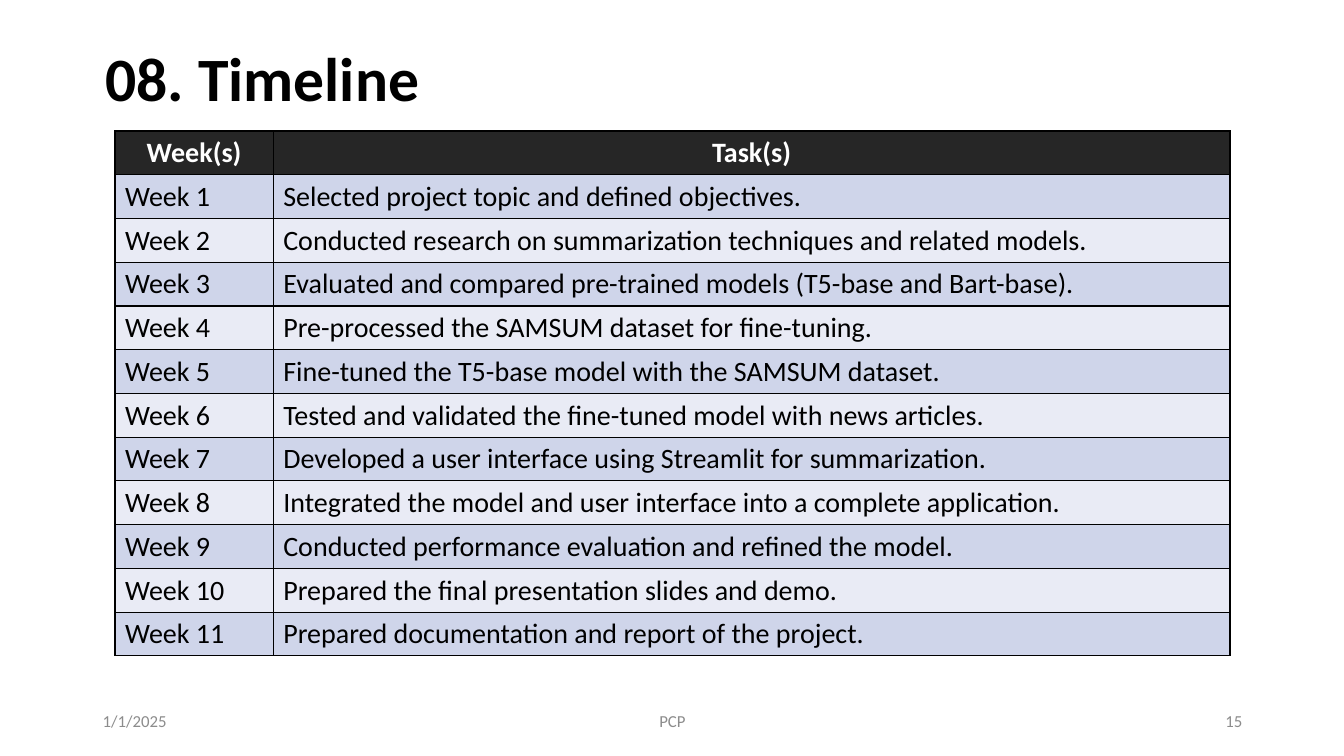
from lxml import etree
from pptx import Presentation
from pptx.dml import color
from pptx.enum import text
from pptx.oxml import ns
from pptx.util import Inches, Pt

FONT = "Calibri"
BLACK = "000000"
TASKS = [
    "Selected project topic and defined objectives.",
    "Conducted research on summarization techniques and related models.",
    "Evaluated and compared pre-trained models (T5-base and Bart-base).",
    "Pre-processed the SAMSUM dataset for fine-tuning.",
    "Fine-tuned the T5-base model with the SAMSUM dataset.",
    "Tested and validated the fine-tuned model with news articles.",
    "Developed a user interface using Streamlit for summarization.",
    "Integrated the model and user interface into a complete application.",
    "Conducted performance evaluation and refined the model.",
    "Prepared the final presentation slides and demo.",
    "Prepared documentation and report of the project.",
]


def rgb(hex_string):
    return color.RGBColor.from_string(hex_string)


def write(frame, words, size, ink, align, bold=False):
    frame.text = words
    paragraph = frame.paragraphs[0]
    paragraph.alignment = align
    font = paragraph.font
    font.name = FONT
    font.size = Pt(size)
    font.bold = bold
    font.color.rgb = rgb(ink)
    return paragraph


def add_title(slide, left, top, width, height, words):
    title = slide.shapes.title
    title.left, title.top = Inches(left), Inches(top)
    title.width, title.height = Inches(width), Inches(height)
    frame = title.text_frame
    frame.word_wrap = True
    frame.auto_size = text.MSO_AUTO_SIZE.NONE
    frame.vertical_anchor = text.MSO_ANCHOR.BOTTOM
    heading = write(frame, words, 44, BLACK, text.PP_ALIGN.CENTER, True)
    heading.line_spacing = 0.9


def add_borders(cell):
    properties = cell._tc.get_or_add_tcPr()
    for side in ("lnL", "lnR", "lnT", "lnB"):
        line = etree.SubElement(properties, ns.qn(f"a:{side}"), w=str(Pt(1)))
        fill = etree.SubElement(line, ns.qn("a:solidFill"))
        etree.SubElement(fill, ns.qn("a:srgbClr"), val=BLACK)


def add_timeline(slide, left, top, width, height, week_width):
    entries = [("Week(s)", "Task(s)")]
    entries += [(f"Week {number}", task) for number, task in enumerate(TASKS, 1)]
    timeline = slide.shapes.add_table(
        len(entries), 2, Inches(left), Inches(top), Inches(width), Inches(height)
    ).table
    timeline.columns[0].width = Inches(week_width)
    timeline.columns[1].width = Inches(width - week_width)
    for row, entry in enumerate(entries):
        header = row == 0
        band = "262626" if header else ("E9EBF5", "CFD5EA")[row % 2]
        ink = "FFFFFF" if header else BLACK
        align = text.PP_ALIGN.CENTER if header else text.PP_ALIGN.LEFT
        for column, words in enumerate(entry):
            cell = timeline.cell(row, column)
            add_borders(cell)
            cell.fill.solid()
            cell.fill.fore_color.rgb = rgb(band)
            write(cell.text_frame, words, 20, ink, align, header)


def add_footer(slide, left, top, width, height):
    side, middle = 3, 4.5
    parts = [
        ("1/1/2025", left, side, text.PP_ALIGN.LEFT),
        ("PCP", left + (width - middle) / 2, middle, text.PP_ALIGN.CENTER),
        ("15", left + width - side, side, text.PP_ALIGN.RIGHT),
    ]
    for words, part_left, part_width, align in parts:
        frame = slide.shapes.add_textbox(
            Inches(part_left), Inches(top), Inches(part_width), Inches(height)
        ).text_frame
        frame.word_wrap = True
        frame.vertical_anchor = text.MSO_ANCHOR.MIDDLE
        write(frame, words, 12, "8C8C8C", align)


def main():
    deck = Presentation()
    deck.slide_width, deck.slide_height = Inches(13.33), Inches(7.5)
    slide = deck.slides.add_slide(deck.slide_layouts[5])
    add_footer(slide, 0.92, 6.95, 11.5, 0.4)
    add_timeline(slide, 1.14, 1.3, 11.06, 5.2, 1.57)
    add_title(slide, 0.4, 0.05, 4.41, 1.14, "08. Timeline")
    deck.save("out.pptx")


if __name__ == "__main__":
    main()
